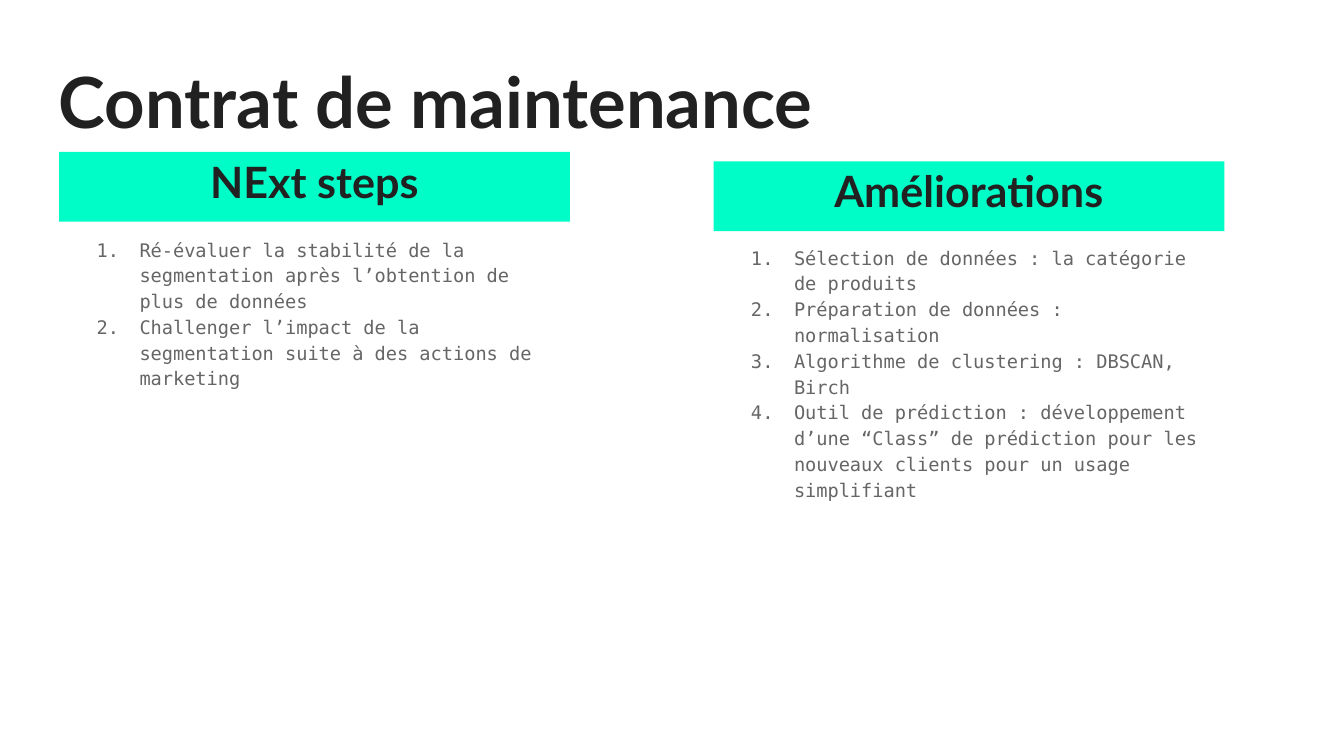
from dataclasses import dataclass

from lxml.etree import SubElement
from pptx import Presentation
from pptx.dml.color import RGBColor as Color
from pptx.enum.shapes import MSO_SHAPE as Shape
from pptx.enum.text import MSO_ANCHOR as Anchor, PP_ALIGN as Align
from pptx.oxml.ns import qn
from pptx.util import Inches, Pt

# Content
TITLE = "Contrat de maintenance"
COLUMNS = [
    ("NExt steps", [
        "Ré-évaluer la stabilité de la segmentation après l’obtention de plus de données",
        "Challenger l’impact de la segmentation suite à des actions de marketing",
    ]),
    ("Améliorations", [
        "Sélection de données : la catégorie de produits",
        "Préparation de données : normalisation",
        "Algorithme de clustering : DBSCAN, Birch",
        "Outil de prédiction : développement d’une “Class” de prédiction "
        "pour les nouveaux clients pour un usage simplifiant",
    ]),
]


@dataclass(frozen=True)
class Theme:
    heading_font: str = "Lato"
    body_font: str = "DejaVu Sans Mono"
    ink: Color = Color.from_string("212121")
    grey: Color = Color.from_string("666666")
    accent: Color = Color.from_string("00FDC8")
    title_size: float = 37.8
    heading_size: float = 23.1
    body_size: float = 10


THEME = Theme()

# Layout in inches: a 16:9 slide, two columns, each with its own top edges
WIDTH = 10
HEIGHT = WIDTH * 9 / 16
TITLE_AREA = (0.34, 0.33, 9.32, 0.88)
COLUMN_LEFTS = (0.44, 5.31)
HEADING_TOPS = (1.13, 1.2)
LIST_TOPS = (1.65, 1.71)
COLUMN_WIDTH, HEADING_HEIGHT, LIST_HEIGHT = 3.8, 0.52, 2.67
INDENT, HANGING = 0.5, 0.32


def set_font(para, name, size, color, bold=False):
    font = para.font
    font.name, font.size, font.bold = name, Pt(size), bold
    font.color.rgb = color


def add_text(page, area, lines, filled=False):
    """Add a box with one paragraph per line; return its paragraphs."""
    area = [Inches(value) for value in area]
    if filled:
        box = page.shapes.add_shape(Shape.RECTANGLE, *area)
        box.shadow.inherit = False
        box.fill.solid()
        box.fill.fore_color.rgb = THEME.accent
        box.line.fill.background()
    else:
        box = page.shapes.add_textbox(*area)
    frame = box.text_frame
    frame.word_wrap = True
    frame.vertical_anchor = Anchor.TOP
    frame.margin_left = frame.margin_right = Inches(0.1)
    frame.margin_top = frame.margin_bottom = Inches(0.1)
    frame.text = "\n".join(lines)
    return frame.paragraphs


def number(para):
    """Give a paragraph a hanging automatic number."""
    props = para._p.get_or_add_pPr()
    props.set("marL", str(Inches(INDENT)))
    props.set("indent", str(-Inches(HANGING)))
    bullet_color = SubElement(props, qn("a:buClr"))
    SubElement(bullet_color, qn("a:srgbClr"), val=str(THEME.grey))
    SubElement(props, qn("a:buFont"), typeface=THEME.body_font)
    SubElement(props, qn("a:buAutoNum"), type="arabicPeriod")


def add_heading(page, left, top, heading):
    area = (left, top, COLUMN_WIDTH, HEADING_HEIGHT)
    for para in add_text(page, area, [heading], filled=True):
        para.alignment = Align.CENTER
        para.line_spacing = 0.8
        set_font(para, THEME.heading_font, THEME.heading_size, THEME.ink, bold=True)


def add_list(page, left, top, items):
    area = (left, top, COLUMN_WIDTH, LIST_HEIGHT)
    for para in add_text(page, area, items):
        para.line_spacing = 1.15
        number(para)
        set_font(para, THEME.body_font, THEME.body_size, THEME.grey)


def main():
    deck = Presentation()
    deck.slide_width, deck.slide_height = Inches(WIDTH), Inches(HEIGHT)
    page = deck.slides.add_slide(deck.slide_layouts[6])

    # Title
    for para in add_text(page, TITLE_AREA, [TITLE]):
        set_font(para, THEME.heading_font, THEME.title_size, THEME.ink, bold=True)

    # Columns: heading band above a numbered list
    places = zip(COLUMNS, COLUMN_LEFTS, HEADING_TOPS, LIST_TOPS)
    for (heading, items), left, heading_top, list_top in places:
        add_heading(page, left, heading_top, heading)
        add_list(page, left, list_top, items)

    deck.save("out.pptx")


if __name__ == "__main__":
    main()
